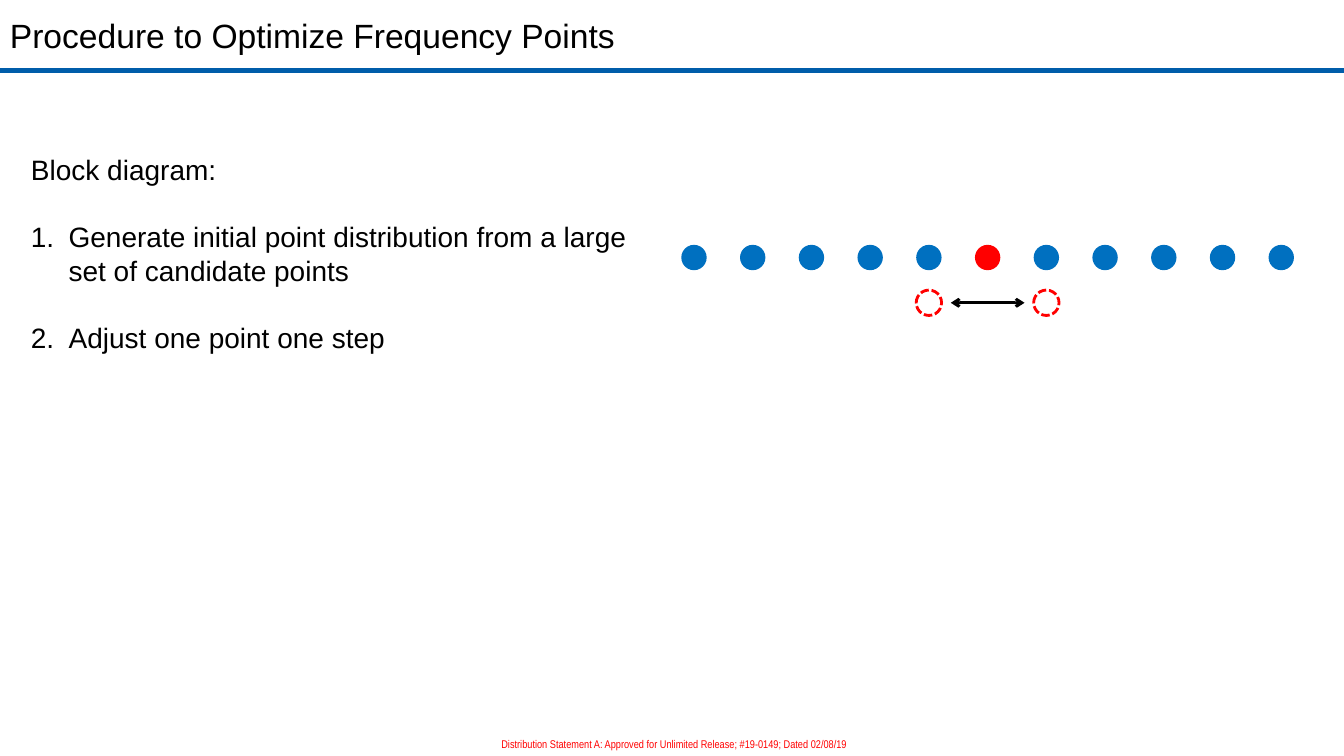
from dataclasses import dataclass

from lxml import etree
from pptx import Presentation
from pptx import util as u
from pptx.dml.color import RGBColor
from pptx.enum import dml, shapes, text
from pptx.oxml import ns

# Content
TITLE = "Procedure to Optimize Frequency Points"
INTRO = "Block diagram:"
STEPS = [
    "Generate initial point distribution from a large set of candidate points",
    "Adjust one point one step",
]
FOOTER = "Distribution Statement A: Approved for Unlimited Release; #19-0149; Dated 02/08/19"
POINT_COUNT = 11
MOVING_POINT = 5


@dataclass(frozen=True)
class Theme:
    font: str = "Arial"
    footer_font: str = "Arial Narrow"
    title_size: int = 24
    body_size: int = 20
    footer_size: int = 8
    rule_width: float = 3.75
    line_width: float = 2
    black: RGBColor = RGBColor(0x00, 0x00, 0x00)
    rule: RGBColor = RGBColor(0x00, 0x5D, 0xAA)
    point: RGBColor = RGBColor(0x00, 0x70, 0xC0)
    accent: RGBColor = RGBColor(0xFF, 0x00, 0x00)


THEME = Theme()

# Geometry in centimetres
PAGE_WIDTH, PAGE_HEIGHT = 33.87, 19.05
RULE_Y = 1.78
POINT_LEFT, POINT_TOP, POINT_SIZE, POINT_PITCH = 17.17, 6.17, 0.64, 1.48
TRIAL_TOP = 7.31
ARROW_GAP = 0.23
STEP_INDENT = 0.95


def add_box(page, left, top, width, height):
    box = page.shapes.add_textbox(u.Cm(left), u.Cm(top), u.Cm(width), u.Cm(height))
    box.text_frame.word_wrap = True
    return box.text_frame


def add_span(para, words, size, color=THEME.black, font=THEME.font):
    span = para.add_run()
    span.text = words
    span.font.name = font
    span.font.size = u.Pt(size)
    span.font.color.rgb = color


def number_step(para):
    properties = para._p.get_or_add_pPr()
    indent = u.Cm(STEP_INDENT)
    properties.set("marL", str(indent))
    properties.set("indent", str(-indent))
    etree.SubElement(properties, ns.qn("a:buFont"), typeface="+mj-lt")
    etree.SubElement(properties, ns.qn("a:buAutoNum"), type="arabicPeriod")


def add_line(page, start, end, y, color, width):
    line = page.shapes.add_connector(
        shapes.MSO_CONNECTOR.STRAIGHT, u.Cm(start), u.Cm(y), u.Cm(end), u.Cm(y))
    line.line.color.rgb = color
    line.line.width = u.Pt(width)
    etree.SubElement(line._element.spPr, ns.qn("a:effectLst"))
    return line


def point_left(index):
    return POINT_LEFT + index * POINT_PITCH


def add_point(page, index, top):
    point = page.shapes.add_shape(
        shapes.MSO_SHAPE.OVAL, u.Cm(point_left(index)), u.Cm(top),
        u.Cm(POINT_SIZE), u.Cm(POINT_SIZE))
    point.shadow.inherit = False
    return point


def add_text(page):
    # Title
    title = add_box(page, 0, 0, 24.84, RULE_Y)
    title.vertical_anchor = text.MSO_ANCHOR.MIDDLE
    add_span(title.paragraphs[0], TITLE, THEME.title_size)

    # Numbered steps
    body = add_box(page, 0.53, 3.71, 15.54, 13.21)
    add_span(body.paragraphs[0], INTRO, THEME.body_size)
    for step in STEPS:
        para = body.add_paragraph()
        para.space_before = u.Pt(24)
        number_step(para)
        add_span(para, step, THEME.body_size)

    # Distribution statement
    footer = add_box(page, 11.63, 18.42, 10.74, 1.6)
    para = footer.paragraphs[0]
    para.alignment = text.PP_ALIGN.CENTER
    para.line_spacing = 1.07
    para.space_after = u.Pt(8)
    add_span(para, FOOTER, THEME.footer_size, THEME.accent, THEME.footer_font)


def add_diagram(page):
    # Row of frequency points
    for index in range(POINT_COUNT):
        point = add_point(page, index, POINT_TOP)
        point.fill.solid()
        point.fill.fore_color.rgb = THEME.accent if index == MOVING_POINT else THEME.point
        point.line.fill.background()

    # Trial positions one step to either side
    before, after = MOVING_POINT - 1, MOVING_POINT + 1
    for index in (before, after):
        trial = add_point(page, index, TRIAL_TOP)
        trial.fill.background()
        trial.line.color.rgb = THEME.accent
        trial.line.width = u.Pt(THEME.line_width)
        trial.line.dash_style = dml.MSO_LINE.SQUARE_DOT

    # Double arrow between the trial positions
    arrow = add_line(
        page, point_left(before) + POINT_SIZE + ARROW_GAP, point_left(after) - ARROW_GAP,
        TRIAL_TOP + POINT_SIZE / 2, THEME.black, THEME.line_width)
    outline = arrow.line._get_or_add_ln()
    for end in ("a:headEnd", "a:tailEnd"):
        etree.SubElement(outline, ns.qn(end), type="arrow")


def main():
    deck = Presentation()
    deck.slide_width, deck.slide_height = u.Cm(PAGE_WIDTH), u.Cm(PAGE_HEIGHT)
    page = deck.slides.add_slide(deck.slide_layouts[6])
    add_line(page, 0, PAGE_WIDTH, RULE_Y, THEME.rule, THEME.rule_width)
    add_text(page)
    add_diagram(page)
    deck.save("out.pptx")


if __name__ == "__main__":
    main()
